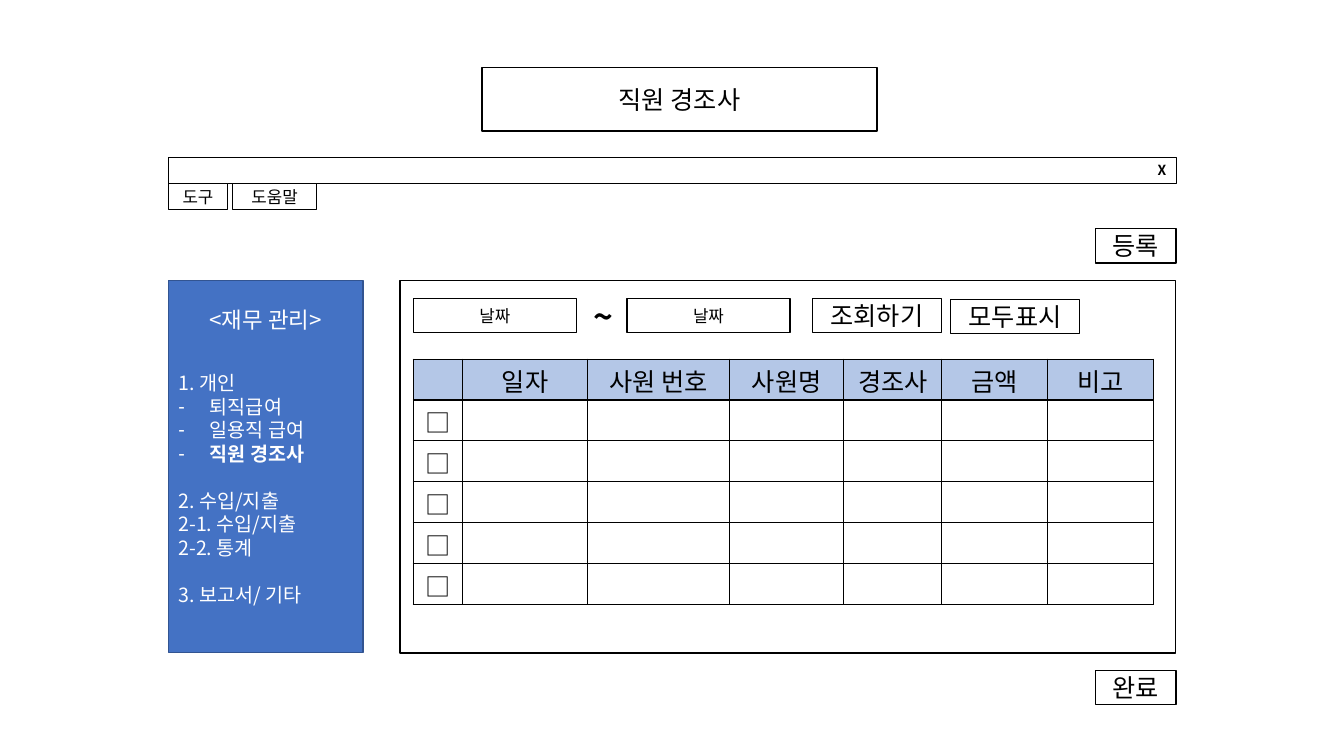
from lxml import etree
from pptx import Presentation
from pptx import util as u
from pptx.dml.color import RGBColor
from pptx.enum import shapes, text
from pptx.oxml import ns

BLACK = RGBColor(0, 0, 0)
WHITE = RGBColor(255, 255, 255)
BLUE = RGBColor(0x44, 0x72, 0xC4)
NAVY = RGBColor(0x32, 0x54, 0x91)
PALE_BLUE = RGBColor(0xB4, 0xC7, 0xE7)
FONT = "Noto Sans CJK KR"
CENTER = text.PP_ALIGN.CENTER
MIDDLE = text.MSO_ANCHOR.MIDDLE


class Screen:
    def __init__(self, prs):
        self.slide = prs.slides.add_slide(prs.slide_layouts[1])

    def set_text(self, p, words, size, color=BLACK, bold=False, align=CENTER):
        p.text = words
        p.alignment = align
        for r in p.runs:
            r.font.size = u.Pt(size)
            r.font.bold = bold
            r.font.color.rgb = color
            r.font.name = FONT
            latin = r.font._element.find(ns.qn("a:latin"))
            latin.addnext(etree.Element(ns.qn("a:ea"), typeface=FONT))

    def frame(self, sp, inset=0, anchor=MIDDLE):
        tf = sp.text_frame
        tf.word_wrap = True
        tf.auto_size = text.MSO_AUTO_SIZE.NONE
        tf.vertical_anchor = anchor
        tf.margin_left = tf.margin_right = u.Pt(inset)
        tf.margin_top = tf.margin_bottom = 0
        return tf

    def place(self, sp, x, y, w, h, fill=WHITE, line=BLACK, width=1):
        sp.left, sp.top, sp.width, sp.height = map(u.Pt, (x, y, w, h))
        sp.fill.solid()
        sp.fill.fore_color.rgb = fill
        sp.line.color.rgb = line
        sp.line.width = u.Pt(width)

    def title(self, words, box):
        sp = self.slide.shapes.title
        self.place(sp, *box)
        self.set_text(self.frame(sp).paragraphs[0], words, 18)

    def box(self, x, y, w, h, words="", size=18, bold=False, align=CENTER, width=1):
        sp = self.slide.shapes.add_shape(
            shapes.MSO_SHAPE.RECTANGLE, *map(u.Pt, (x, y, w, h)))
        sp.shadow.inherit = False
        self.place(sp, x, y, w, h, width=width)
        if words:
            inset = 0 if align == CENTER else 7.2
            self.set_text(self.frame(sp, inset).paragraphs[0], words, size, bold=bold, align=align)

    def label(self, x, y, w, h, words, size):
        sp = self.slide.shapes.add_textbox(*map(u.Pt, (x, y, w, h)))
        self.set_text(self.frame(sp).paragraphs[0], words, size, bold=True)

    def menu(self, box, heading, groups, current):
        sp = self.slide.placeholders[1]
        self.place(sp, *box, fill=BLUE, line=NAVY)
        tf = self.frame(sp, 7.2, text.MSO_ANCHOR.TOP)
        tf.margin_top = u.Pt(21)
        self.item(tf.paragraphs[0], heading, 16, 0, align=CENTER)
        for g, group in enumerate(groups):
            for i, words in enumerate(group):
                gap = 0 if i else 16.8 if g else 27
                dashed = g == 0 and i > 0
                self.item(tf.add_paragraph(), words, 14, gap, dashed, words == current)

    def item(self, p, words, size, gap, dashed=False, bold=False, align=text.PP_ALIGN.LEFT):
        p.line_spacing = u.Pt(16.8)
        p.space_before = u.Pt(gap)
        pPr = p._p.get_or_add_pPr()
        indent = u.Pt(22.5) if dashed else 0
        pPr.set("marL", str(indent))
        pPr.set("indent", str(-indent))
        if dashed:
            etree.SubElement(pPr, ns.qn("a:buChar"), char="-")
        else:
            etree.SubElement(pPr, ns.qn("a:buNone"))
        self.set_text(p, words, size, WHITE, bold, align)

    def table(self, x, y, widths, row_height, headers, rows):
        gf = self.slide.shapes.add_table(
            rows + 1, len(widths), u.Pt(x), u.Pt(y),
            u.Pt(sum(widths)), u.Pt(row_height * (rows + 1)))
        table = gf.table
        table.first_row = table.horz_banding = False
        for column, width in zip(table.columns, widths):
            column.width = u.Pt(width)
        for i, row in enumerate(table.rows):
            row.height = u.Pt(row_height)
            for j, cell in enumerate(row.cells):
                self.cell(cell, PALE_BLUE if i == 0 else None)
                words = headers[j] if i == 0 else "" if j else "□"
                self.set_text(cell.text_frame.paragraphs[0], words, 18)

    def cell(self, cell, fill):
        cell.vertical_anchor = MIDDLE
        cell.margin_left = cell.margin_right = cell.margin_bottom = 0
        cell.margin_top = u.Pt(2)
        if fill is None:
            cell.fill.background()
        else:
            cell.fill.solid()
            cell.fill.fore_color.rgb = fill
        tcPr = cell._tc.get_or_add_tcPr()
        for i, side in enumerate("LRTB"):
            ln = etree.Element(ns.qn("a:ln" + side), w=str(u.Pt(1)))
            solid = etree.SubElement(ln, ns.qn("a:solidFill"))
            etree.SubElement(solid, ns.qn("a:srgbClr"), val=str(BLACK))
            tcPr.insert(i, ln)


def main():
    prs = Presentation()
    prs.slide_width, prs.slide_height = u.Pt(960), u.Pt(540)
    s = Screen(prs)

    s.title("직원 경조사", (344.2, 48.2, 282.2, 45.4))
    s.menu((120.2, 200.2, 139, 265.7), "<재무 관리>", [
        ["1. 개인", "퇴직급여", "일용직 급여", "직원 경조사"],
        ["2. 수입/지출", "2-1. 수입/지출", "2-2. 통계"],
        ["3. 보고서/ 기타"],
    ], "직원 경조사")

    s.box(120.2, 112.3, 720, 18.7, "X", 9.9, True, text.PP_ALIGN.RIGHT, 0.75)
    s.box(120.2, 131, 42.5, 18.7, "도구", 12)
    s.box(166.3, 131, 59.8, 18.7, "도움말", 12)

    s.box(285.8, 200.2, 553.7, 266.4)
    for x in (295.2, 447.8):
        s.box(x, 213.1, 116.6, 24.5, "날짜", 12)
    s.label(417.6, 208.1, 27.4, 36, "~", 24)
    s.box(580.3, 213.1, 92.2, 24.5, "조회하기")
    s.box(679, 213.8, 92.2, 24.5, "모두표시")
    for y, words in ((163.4, "등록"), (478.8, "완료")):
        s.box(782.6, y, 57.6, 24.5, words)

    s.table(295.2, 256.5, (35.2, 89.3, 101.5, 81.6, 70, 75.5, 75.5), 29.2,
            ("", "일자", "사원 번호", "사원명", "경조사", "금액", "비고"), 5)

    prs.save("out.pptx")


if __name__ == "__main__":
    main()
